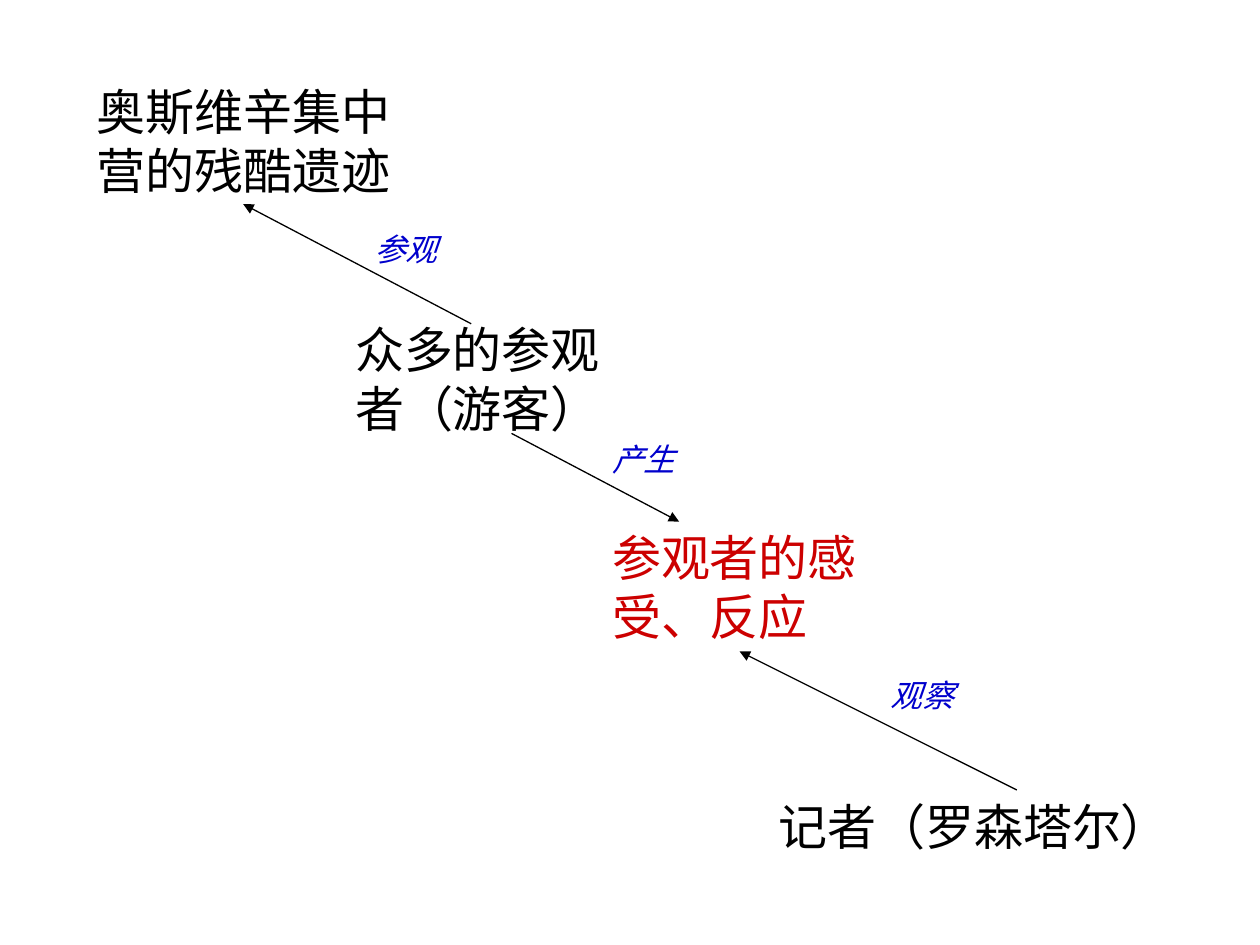
from pptx import Presentation
from pptx.dml.color import RGBColor
from pptx.enum.shapes import MSO_CONNECTOR
from pptx.enum.text import MSO_AUTO_SIZE
from pptx.oxml.ns import qn
from pptx.util import Inches, Pt
from lxml import etree

COLORS = {"text": "000000", "reaction": "CC0000", "action": "0000CC"}

presentation = Presentation()
presentation.slide_width = Inches(10)
presentation.slide_height = Inches(7.5)
slide = presentation.slides.add_slide(presentation.slide_layouts[6])


def add_label(text, left, top, width, height, size, color, italic=False):
    text_box = slide.shapes.add_textbox(
        Inches(left), Inches(top), Inches(width), Inches(height))
    text_frame = text_box.text_frame
    text_frame.word_wrap = True
    text_frame.auto_size = MSO_AUTO_SIZE.SHAPE_TO_FIT_TEXT
    text_frame.text = text
    font = text_frame.paragraphs[0].runs[0].font
    font.name = "Arial"
    font.size = Pt(size)
    font.italic = italic
    font.color.rgb = RGBColor.from_string(COLORS[color])


# People and things: text, left, top, width, height, color
subjects = [
    ("奥斯维辛集中营的残酷遗迹", 0.67, 0.6, 2.6, 1.04, "text"),
    ("众多的参观者（游客）", 2.72, 2.49, 2.21, 1.04, "text"),
    ("参观者的感受、反应", 4.76, 4.14, 2.21, 1.04, "reaction"),
    ("记者（罗森塔尔）", 6.08, 6.27, 3.58, 0.57, "text"),
]
for text, left, top, width, height, color in subjects:
    add_label(text, left, top, width, height, 28, color)

# Actions linking them: text, left, top, width, arrow start, arrow end
actions = [
    ("参观", 2.87, 1.78, 0.95, (3.74, 2.57), (1.93, 1.62)),
    ("产生", 4.76, 3.44, 1.02, (4.06, 3.44), (5.39, 4.14)),
    ("观察", 6.97, 5.32, 1.02, (8.07, 6.27), (5.87, 5.17)),
]
for text, left, top, width, start, end in actions:
    add_label(text, left, top, width, 0.4, 18, "action", italic=True)
    arrow = slide.shapes.add_connector(
        MSO_CONNECTOR.STRAIGHT, *(Inches(value) for value in start + end))
    arrow.line.width = Pt(0.75)
    arrow.line.color.rgb = RGBColor.from_string(COLORS["text"])
    properties = arrow.element.spPr
    etree.SubElement(properties.find(qn("a:ln")), qn("a:tailEnd"), type="triangle")
    etree.SubElement(properties, qn("a:effectLst"))

presentation.save("out.pptx")
